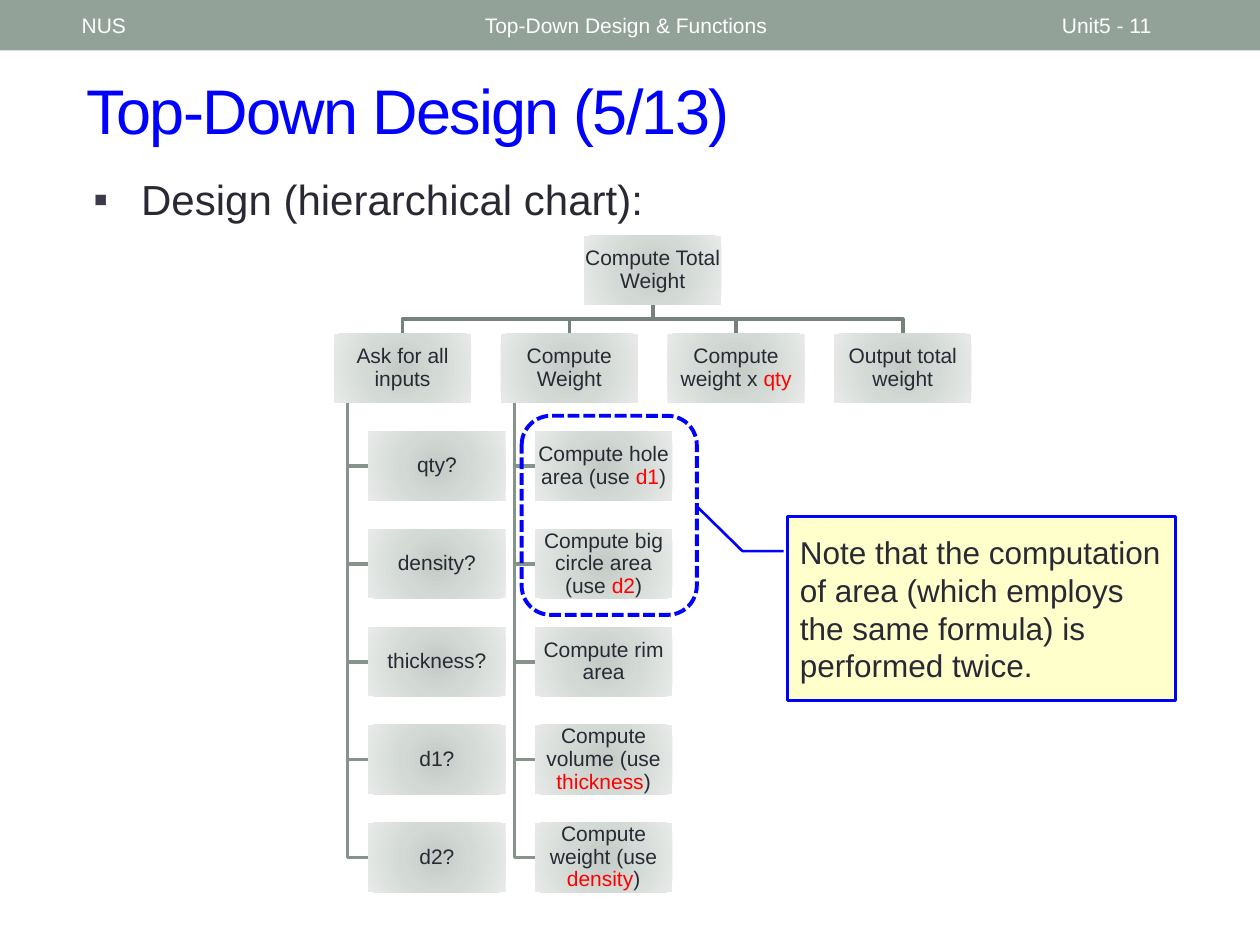
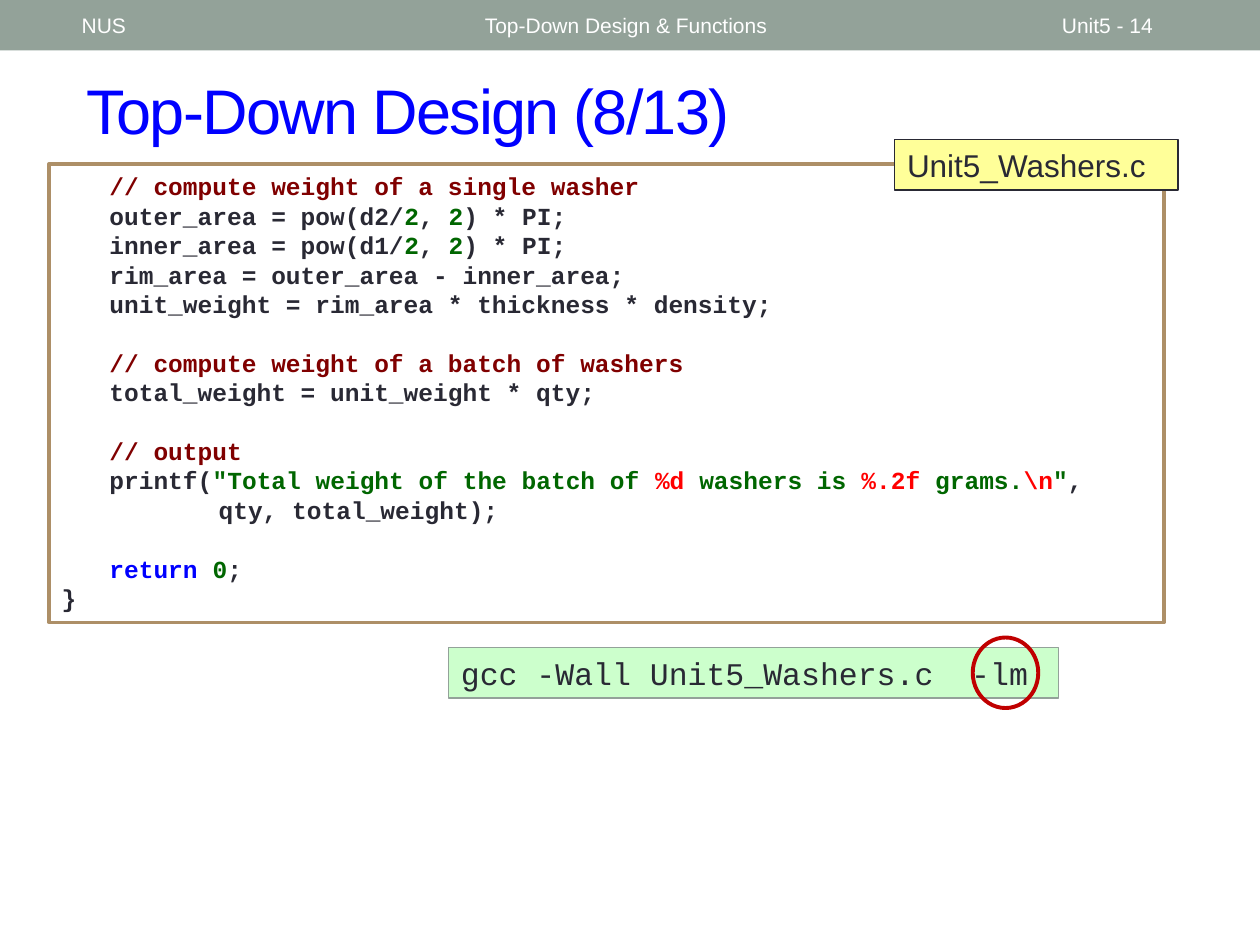
from lxml import etree
from pptx import Presentation
from pptx import util as u
from pptx.dml.color import RGBColor
from pptx.enum import dml, shapes, text
from pptx.oxml import parse_xml
from pptx.oxml.ns import nsdecls, qn

# Page grid: 10 columns by 7.5 rows
SLIDE_W, SLIDE_H = u.Inches(10), u.Inches(7.5)
COLUMN, ROW = SLIDE_W / 10, SLIDE_H / 7.5

# Shared look
SANS, MONO = "Arial", "Courier New"
INK, WHITE, SAGE = "292934", "FFFFFF", "93A299"
BLUE, RED, GREEN, MAROON = "0000FF", "FF0000", "006600", "800000"
NODE_GRADIENT = ((0, "C4CAC6"), (45, "D3DAD6"), (100, "E7EAE8"))
TOP_LINE, SUB_LINE = "76827B", "85938B"
LEFT, CENTER = text.PP_ALIGN.LEFT, text.PP_ALIGN.CENTER
TOP, MIDDLE = text.MSO_ANCHOR.TOP, text.MSO_ANCHOR.MIDDLE

# Hierarchy grid
TREE_X, TREE_Y = 2.65, 1.87
PITCH_X, PITCH_Y = (6.62 - TREE_X) / 3, (6.53 - TREE_Y) / 6
NODE_W, NODE_H = 1.09, 0.55
INDENT = NODE_W / 4

ROOT = ["Compute Total Weight"]
TASKS = [
    (["Ask for all inputs"],
     [["qty?"], ["density?"], ["thickness?"], ["d1?"], ["d2?"]]),
    (["Compute Weight"],
     [["Compute hole area (use ", ("d1", RED), ")"],
      ["Compute big circle area (use ", ("d2", RED), ")"],
      ["Compute rim area"],
      ["Compute volume (use ", ("thickness", RED), ")"],
      ["Compute weight (use ", ("density", RED), ")"]]),
    (["Compute weight x ", ("qty", RED)], []),
    (["Output total weight"], []),
]

# Code listing in blocks, with an open line between blocks
TWO = ("2", GREEN)
CODE_BLOCKS = [
    [["\t", ("// compute weight of a single washer", MAROON)],
     ["\touter_area = pow(d2/", TWO, ", ", TWO, ") * PI;"],
     ["\tinner_area = pow(d1/", TWO, ", ", TWO, ") * PI;"],
     ["\trim_area = outer_area - inner_area;"],
     ["\tunit_weight = rim_area * thickness * density;"]],
    [["\t", ("// compute weight of a batch of washers", MAROON)],
     ["\ttotal_weight = unit_weight * qty;"]],
    [["\t", ("// output", MAROON)],
     ["\tprintf(", ('"Total weight of the batch of ', GREEN), ("%d ", RED),
      ("washers is ", GREEN), ("%.2f ", RED), ("grams.", GREEN),
      ("\\n", RED), ('"', GREEN), ","],
     ["\t\t\t qty, total_weight);"]],
    [["\t", ("return ", BLUE), ("0", GREEN), ";"],
     ["}"]],
]
CODE_TABS = (0.38, 0.75, 1.13, 1.51, 1.87)
CODE_LINE = u.Pt(16.8)


def rgb(value):
    return RGBColor.from_string(value)


def place(left, top, width, height):
    """Turn grid columns and rows into slide lengths."""
    return (round(left * COLUMN), round(top * ROW),
            round(width * COLUMN), round(height * ROW))


def write(paragraph, runs, size, color=INK, font=SANS, bold=False):
    """Add runs; a run is a string or a (string, colour) pair."""
    for item in runs:
        words, tint = (item, color) if isinstance(item, str) else item
        run = paragraph.add_run()
        run.text = words
        run.font.size, run.font.name, run.font.bold = u.Pt(size), font, bold
        run.font.color.rgb = rgb(tint)


def set_frame(shape, anchor, inset=None):
    frame = shape.text_frame
    frame.word_wrap = True
    frame.auto_size = text.MSO_AUTO_SIZE.NONE
    frame.vertical_anchor = anchor
    if inset is not None:
        frame.margin_left = frame.margin_right = u.Inches(inset)
        frame.margin_top = frame.margin_bottom = u.Inches(inset)
    return frame


def add_panel(slide, kind, area, fill=None, line=None, weight=0.75):
    panel = slide.shapes.add_shape(kind, *place(*area))
    panel.shadow.inherit = False
    if fill:
        panel.fill.solid()
        panel.fill.fore_color.rgb = rgb(fill)
    else:
        panel.fill.background()
    if line:
        panel.line.color.rgb = rgb(line)
        panel.line.width = u.Pt(weight)
    else:
        panel.line.fill.background()
    return panel


def add_label(slide, area, words, fill, line, font=SANS):
    label = add_panel(slide, shapes.MSO_SHAPE.RECTANGLE, area, fill, line)
    paragraph = set_frame(label, TOP).paragraphs[0]
    paragraph.alignment = LEFT
    write(paragraph, [words], 18, font=font)


def start_slide(deck, layout, heading, number):
    """Open a slide with the header band, its three texts and the title."""
    slide = deck.slides.add_slide(deck.slide_layouts[layout])
    add_panel(slide, shapes.MSO_SHAPE.RECTANGLE, (0, 0, 10, 0.4), SAGE)
    for left, width, words in ((0.55, 3.12, "NUS"),
                               (3.75, 4.5, "Top-Down Design & Functions"),
                               (8.33, 1.17, f"Unit5 - {number}")):
        note = slide.shapes.add_textbox(*place(left, 0.02, width, 0.36))
        write(set_frame(note, MIDDLE).paragraphs[0], [words], 12, WHITE)

    title = slide.shapes.title
    title.left, title.top, title.width, title.height = place(0.59, 0.41, 9.17, 0.92)
    paragraph = set_frame(title, MIDDLE).paragraphs[0]
    paragraph.alignment = LEFT
    write(paragraph, [heading], 36, BLUE)
    paragraph.runs[0].font._element.set("spc", "-100")
    return slide


def add_bullet(slide, words):
    body = slide.placeholders[1]
    body.left, body.top, body.width, body.height = place(0.64, 1.29, 5.87, 0.51)
    paragraph = set_frame(body, TOP).paragraphs[0]
    props = paragraph._p.get_or_add_pPr()
    props.set("marL", str(u.Inches(0.38)))
    props.set("indent", str(u.Inches(-0.38)))
    color = etree.SubElement(props, qn("a:buClr"))
    etree.SubElement(color, qn("a:srgbClr"), val="3B3B4B")
    etree.SubElement(props, qn("a:buFont"), typeface=SANS)
    etree.SubElement(props, qn("a:buChar"), char="▪")
    paragraph.line_spacing = 1.1
    write(paragraph, [words], 24)


def add_node(slide, column, row, runs, indent=0):
    area = (TREE_X + column * PITCH_X + indent, TREE_Y + row * PITCH_Y, NODE_W, NODE_H)
    node = add_panel(slide, shapes.MSO_SHAPE.RECTANGLE, area)
    # Radial gradient
    stops = "".join(f'<a:gs pos="{at * 1000}"><a:srgbClr val="{color}"/></a:gs>'
                    for at, color in NODE_GRADIENT)
    gradient = parse_xml(
        f'<a:gradFill {nsdecls("a")} rotWithShape="1"><a:gsLst>{stops}</a:gsLst>'
        '<a:path path="circle"><a:fillToRect l="100000" t="100000" '
        'r="100000" b="100000"/></a:path></a:gradFill>')
    props = node._element.spPr
    props.replace(props.find(qn("a:noFill")), gradient)

    paragraph = set_frame(node, MIDDLE, 0).paragraphs[0]
    paragraph.alignment = CENTER
    paragraph.line_spacing = 0.9
    write(paragraph, runs, 12)
    return node


def add_elbow(slide, color, start, *corners):
    """Draw an open bent line through the given points."""
    builder = slide.shapes.build_freeform(*(round(v) for v in start))
    builder.add_line_segments([(round(x), round(y)) for x, y in corners], close=False)
    elbow = builder.convert_to_shape()
    elbow.shadow.inherit = False
    elbow.fill.background()
    elbow.line.color.rgb = rgb(color)
    elbow.line.width = u.Pt(2.08)


def middle_x(node):
    return node.left + node.width / 2


def add_subtasks(slide, column, parent, subtasks):
    trunk_x = parent.left + parent.width / 10
    for row, runs in enumerate(subtasks, start=2):
        node = add_node(slide, column, row, runs, INDENT)
        y = node.top + node.height / 2
        add_elbow(slide, SUB_LINE, (trunk_x, parent.top + parent.height),
                  (trunk_x, y), (node.left, y))


def add_hierarchy(slide):
    root = add_node(slide, (len(TASKS) - 1) / 2, 0, ROOT)
    root_bottom = root.top + root.height
    for column, (runs, subtasks) in enumerate(TASKS):
        task = add_node(slide, column, 1, runs)
        bar_y = (root_bottom + task.top) / 2
        add_elbow(slide, TOP_LINE, (middle_x(root), root_bottom),
                  (middle_x(root), bar_y), (middle_x(task), bar_y),
                  (middle_x(task), task.top))
        add_subtasks(slide, column, task, subtasks)


def add_callout(slide, words):
    callout = add_panel(slide, shapes.MSO_SHAPE.LINE_CALLOUT_2,
                        (6.25, 4.1, 3.08, 1.46), "FFFFCC", BLUE, 1.5)
    # Leader as (y, x) shares of the box
    for index, share in enumerate((0.188, -0.01, 0.188, -0.116, -0.054, -0.233)):
        callout.adjustments[index] = share
    paragraph = set_frame(callout, MIDDLE).paragraphs[0]
    paragraph.alignment = LEFT
    write(paragraph, [words], 18)


def add_code(slide):
    listing = add_panel(slide, shapes.MSO_SHAPE.RECTANGLE,
                        (0.39, 1.3, 8.85, 3.64), WHITE, "AD8F67", 2.08)
    frame = set_frame(listing, TOP)
    frame.margin_top = u.Inches(0.06)
    for block_index, block in enumerate(CODE_BLOCKS):
        for line_index, runs in enumerate(block):
            first = block_index == line_index == 0
            paragraph = frame.paragraphs[0] if first else frame.add_paragraph()
            paragraph.alignment = LEFT
            tabs = etree.SubElement(paragraph._p.get_or_add_pPr(), qn("a:tabLst"))
            for stop in CODE_TABS:
                etree.SubElement(tabs, qn("a:tab"), pos=str(u.Inches(stop)), algn="l")
            paragraph.line_spacing = CODE_LINE
            if block_index and line_index == 0:
                paragraph.space_before = CODE_LINE
            write(paragraph, runs, 14, font=MONO, bold=True)


def build_chart_slide(deck):
    slide = start_slide(deck, 1, "Top-Down Design (5/13)", 11)
    add_bullet(slide, "Design (hierarchical chart):")
    add_hierarchy(slide)
    # Dashed frame around the two area steps
    repeated = add_panel(slide, shapes.MSO_SHAPE.ROUNDED_RECTANGLE,
                         (4.14, 3.3, 1.39, 1.58), line=BLUE, weight=2.25)
    repeated.line.dash_style = dml.MSO_LINE.SQUARE_DOT
    add_callout(slide, "Note that the computation of area (which employs "
                       "the same formula) is performed twice.")


def build_code_slide(deck):
    slide = start_slide(deck, 5, "Top-Down Design (8/13)", 14)
    add_code(slide)
    add_label(slide, (7.1, 1.11, 2.25, 0.4), "Unit5_Washers.c", "FFFF99", INK)
    add_label(slide, (3.56, 5.14, 4.84, 0.4), "gcc -Wall Unit5_Washers.c  -lm",
              "CCFFCC", SAGE, MONO)
    # Ring around the linker option
    add_panel(slide, shapes.MSO_SHAPE.OVAL, (7.72, 5.06, 0.52, 0.56),
              line="C00000", weight=2.25)


def main():
    deck = Presentation()
    deck.slide_width, deck.slide_height = SLIDE_W, SLIDE_H
    build_chart_slide(deck)
    build_code_slide(deck)
    deck.save("out.pptx")


if __name__ == "__main__":
    main()
